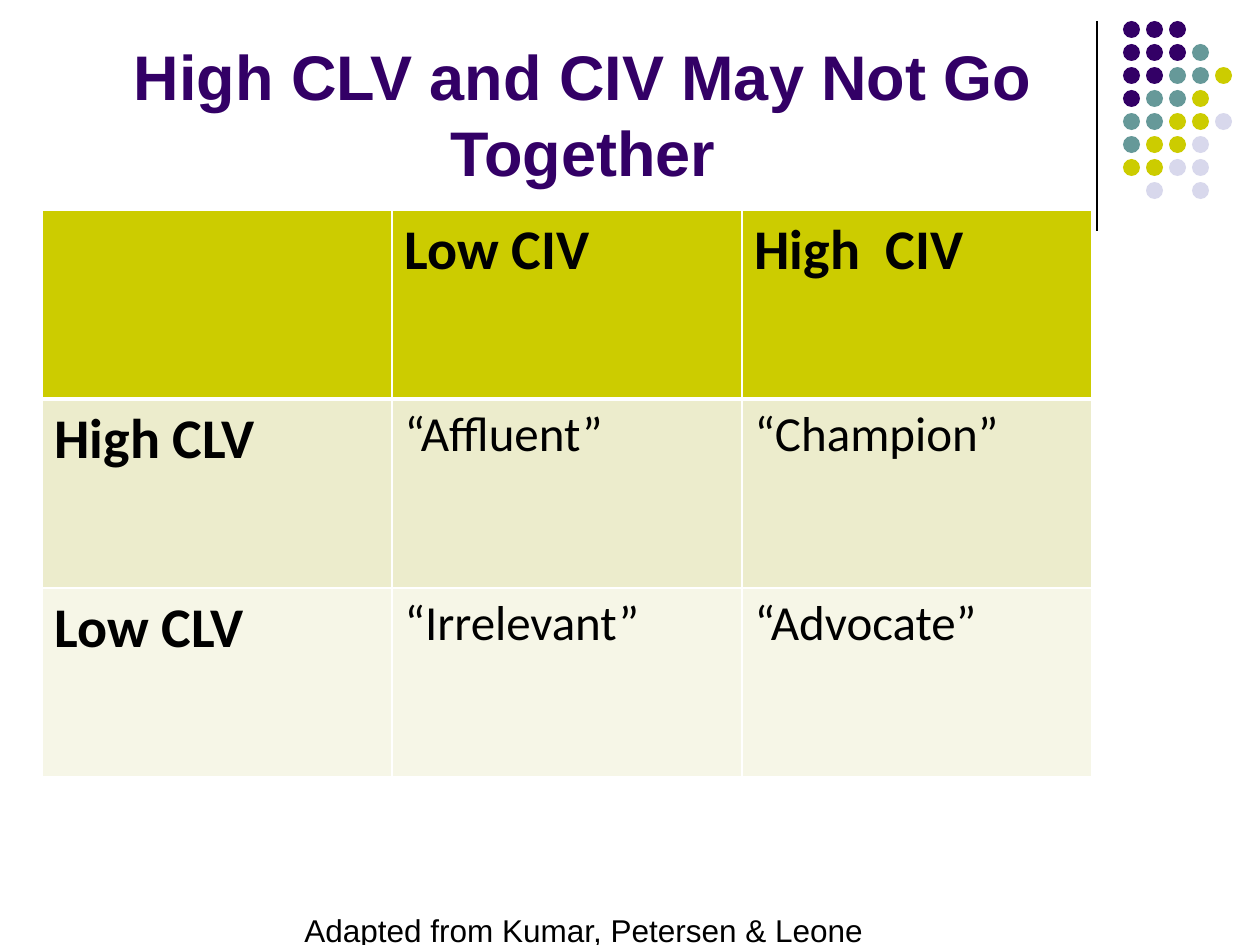
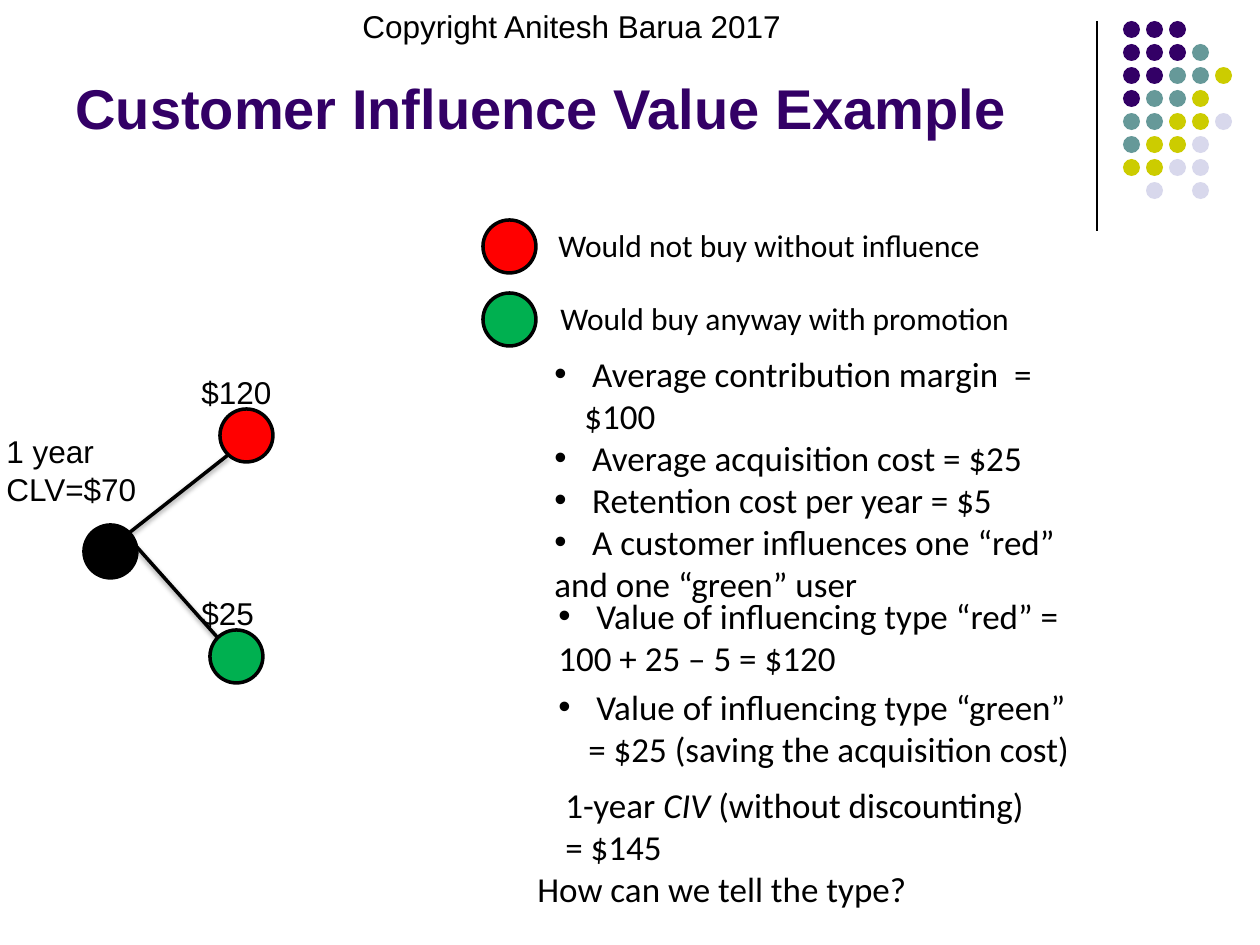
"""Build two slides about customer lifetime value (CLV) and influence value (CIV)."""
from lxml import etree
from pptx import Presentation
from pptx import util as u
from pptx.dml import color
from pptx.enum import shapes, text
from pptx.oxml import ns

PX = u.Inches(1) / 126
INK, PURPLE, TEAL, OLIVE, LILAC = "000000", "330066", "669999", "CCCC00", "D8D8EC"
RED, GREEN, WHITE = "FF0000", "00B050", "FFFFFF"
DOT_COLORS = {"P": PURPLE, "T": TEAL, "O": OLIVE, "L": LILAC}
DOT_ROWS = ["PPP", "PPPT", "PPTTO", "PTTO", "TTOOL", "TOOL", "OOLL", " L L"]

TITLE = {"name": "Arial", "size": 36, "bold": True, "color": PURPLE}
LABEL = {"name": "Arial", "size": 18}
LEGEND = {"name": "Calibri", "size": 18}
BODY = {"name": "Calibri", "size": 20}
HEADING = {"name": "Calibri", "size": 32, "bold": True}
SEGMENT = {"name": "Calibri", "size": 28, "bold": False}


def px(*lengths):
    """Turn pixel lengths into a list of EMU."""
    return [u.Emu(round(length * PX)) for length in lengths]


def rgb(value):
    """Return the colour for a hex string."""
    return color.RGBColor.from_string(value)


def child(parent, tag, **attributes):
    """Append a DrawingML element to a parent."""
    element = etree.SubElement(parent, ns.qn("a:" + tag))
    for name, value in attributes.items():
        element.set(name, str(value))
    return element


def format_font(font, style):
    """Apply a dict of font values."""
    values = {"bold": False, "color": INK} | style
    font.color.rgb = rgb(values.pop("color"))
    values["size"] = u.Pt(values["size"])
    for name, value in values.items():
        setattr(font, name, value)


def fill_paragraph(paragraph, line, style):
    """Write one line; a leading • makes a bullet and *stars* make italics."""
    if line.startswith("•"):
        indent = px(30)[0]
        properties = paragraph._p.get_or_add_pPr()
        properties.set("marL", str(indent))
        properties.set("indent", str(-indent))
        child(properties, "buFont", typeface="Arial")
        child(properties, "buChar", char="•")
    for index, piece in enumerate(line.removeprefix("•").split("*")):
        run = paragraph.add_run()
        run.text = piece
        format_font(run.font, style | {"italic": index % 2 == 1})


def add_text(slide, box, lines, style, align=text.PP_ALIGN.LEFT, anchor=text.MSO_ANCHOR.TOP):
    """Add a wrapped text box with one paragraph per line."""
    frame = slide.shapes.add_textbox(*px(*box)).text_frame
    frame.word_wrap = True
    frame.vertical_anchor = anchor
    for index, line in enumerate(lines):
        paragraph = frame.add_paragraph() if index else frame.paragraphs[0]
        paragraph.alignment = align
        fill_paragraph(paragraph, line, style)


def add_title(slide, box, title, size, align):
    """Add a slide title resting on the bottom of its box."""
    add_text(slide, box, [title], TITLE | {"size": size}, align, text.MSO_ANCHOR.BOTTOM)


def add_circle(slide, box, fill, outlined=True):
    """Add a filled circle, with a black outline if wanted."""
    circle = slide.shapes.add_shape(shapes.MSO_SHAPE.OVAL, *px(*box))
    circle.shadow.inherit = False
    circle.fill.solid()
    circle.fill.fore_color.rgb = rgb(fill)
    if outlined:
        circle.line.color.rgb = rgb(INK)
        circle.line.width = u.Pt(2)
    else:
        circle.line.fill.background()


def add_line(slide, ends, width, shadowed=False):
    """Add a straight black line, with a soft shadow if wanted."""
    line = slide.shapes.add_connector(shapes.MSO_CONNECTOR.STRAIGHT, *px(*ends))
    line.line.color.rgb = rgb(INK)
    line.line.width = u.Pt(width)
    effects = child(line._element.spPr, "effectLst")
    if shadowed:
        shadow = child(effects, "outerShdw", blurRad=u.Pt(3.1), dist=u.Pt(1.6),
                       dir=5400000, rotWithShape=0)
        child(child(shadow, "srgbClr", val=INK), "alpha", val=38000)


def add_corner_dots(slide, left, top):
    """Add the rule and the dot pattern of the upper right corner."""
    pitch, size = 23, 17
    add_line(slide, (left, top, left, top + 210), 0.75)
    for row, letters in enumerate(DOT_ROWS):
        for column, letter in enumerate(letters):
            if letter in DOT_COLORS:
                box = (left + 26 + column * pitch, top + row * pitch, size, size)
                add_circle(slide, box, DOT_COLORS[letter], outlined=False)


def style_cell(cell, fill, borders):
    """Give a cell white borders, in points by side, and a fill."""
    properties = cell._tc.get_or_add_tcPr()
    for side, points in borders.items():
        border = child(properties, "ln" + side, w=u.Pt(points))
        child(child(border, "solidFill"), "srgbClr", val=WHITE)
    cell.fill.solid()
    cell.fill.fore_color.rgb = rgb(fill)


def add_segment_table(slide, box):
    """Add the table of customer segments by CLV and CIV."""
    rows = [["", "Low CIV", "High  CIV"],
            ["High CLV", "“Affluent”", "“Champion”"],
            ["Low CLV", "“Irrelevant”", "“Advocate”"]]
    fills = [OLIVE, "ECECCC", "F6F6E7"]
    table = slide.shapes.add_table(len(rows), len(rows[0]), *px(*box)).table
    table.first_row = table.horz_banding = False
    for row, values in enumerate(rows):
        borders = {"L": 1, "R": 1, "T": 3 if row == 1 else 1, "B": 3 if row == 0 else 1}
        for column, value in enumerate(values):
            cell = table.cell(row, column)
            style_cell(cell, fills[row], borders)
            if value:
                style = SEGMENT if row and column else HEADING
                fill_paragraph(cell.text_frame.paragraphs[0], value, style)


def add_influence_graph(slide, left, top):
    """Add the customer node, its two influenced users and their values."""
    size = 53
    for ends in [(136, 137, 218, 229), (129, 124, 228, 46)]:
        x1, y1, x2, y2 = ends
        add_line(slide, (left + x1, top + y1, left + x2, top + y2), 2, shadowed=True)
    for x, y, fill in [(84, 116, INK), (210, 221, GREEN), (220, 0, RED)]:
        add_circle(slide, (left + x, top + y, size, size), fill)
    labels = [(-6, 17, 170, 90, ["1 year", "CLV=$70"]),
              (189, -42, 110, 50, ["$120"]),
              (189, 179, 110, 50, ["$25"])]
    for x, y, width, height, lines in labels:
        add_text(slide, (left + x, top + y, width, height), lines, LABEL)


def add_legend(slide, left, top):
    """Add the key to the red and green users."""
    entries = [(RED, 63, "Would not buy without influence"),
               (GREEN, 65, "Would buy anyway with promotion")]
    for index, (fill, offset, label) in enumerate(entries):
        y = top + index * 73
        add_circle(slide, (left, y, 53, 53), fill)
        add_text(slide, (left + offset, y, 500, 50), [label], LEGEND)


def add_calculation(slide, left, top):
    """Add the assumptions and the steps to the influence value."""
    blocks = [
        (17, 0, 569, 260, ["• Average contribution margin  = $100",
                           "• Average acquisition cost = $25",
                           "• Retention cost per year = $5",
                           "• A customer influences one “red”",
                           "and one “green” user"]),
        (21, 242, 540, 97, ["• Value of influencing type “red” =", "100 + 25 – 5 = $120"]),
        (21, 333, 540, 97, ["• Value of influencing type “green” = $25 "
                            "(saving the acquisition cost)"]),
        (28, 431, 530, 97, ["1-year *CIV* (without discounting)", "= $145"]),
        (0, 515, 430, 55, ["How can we tell the type?"]),
    ]
    for x, y, width, height, lines in blocks:
        add_text(slide, (left + x, top + y, width, height), lines, BODY)


def add_slide(presentation):
    """Add a blank slide with the shared corner pattern."""
    slide = presentation.slides.add_slide(presentation.slide_layouts[6])
    add_corner_dots(slide, 1097, 21)
    return slide


def build_segment_slide(presentation):
    """Build the slide with the CLV and CIV table."""
    slide = add_slide(presentation)
    add_title(slide, (63, 16, 1040, 179), "High CLV and CIV May Not Go Together",
              36, text.PP_ALIGN.CENTER)
    add_segment_table(slide, (42, 210, 1050, 567))
    add_text(slide, (292, 905, 610, 40), ["Adapted from Kumar, Petersen & Leone"], LABEL)


def build_example_slide(presentation):
    """Build the slide with the worked example."""
    slide = add_slide(presentation)
    add_title(slide, (63, -32, 1040, 179), "Customer Influence Value Example",
              32, text.PP_ALIGN.LEFT)
    add_influence_graph(slide, 0, 409)
    add_legend(slide, 483, 220)
    add_calculation(slide, 525, 346)
    add_text(slide, (350, 1, 460, 50), ["Copyright Anitesh Barua 2017"], LABEL)


def main():
    """Build and save the presentation."""
    presentation = Presentation()
    presentation.slide_width, presentation.slide_height = px(1260, 945)
    build_segment_slide(presentation)
    build_example_slide(presentation)
    presentation.save("out.pptx")


if __name__ == "__main__":
    main()
